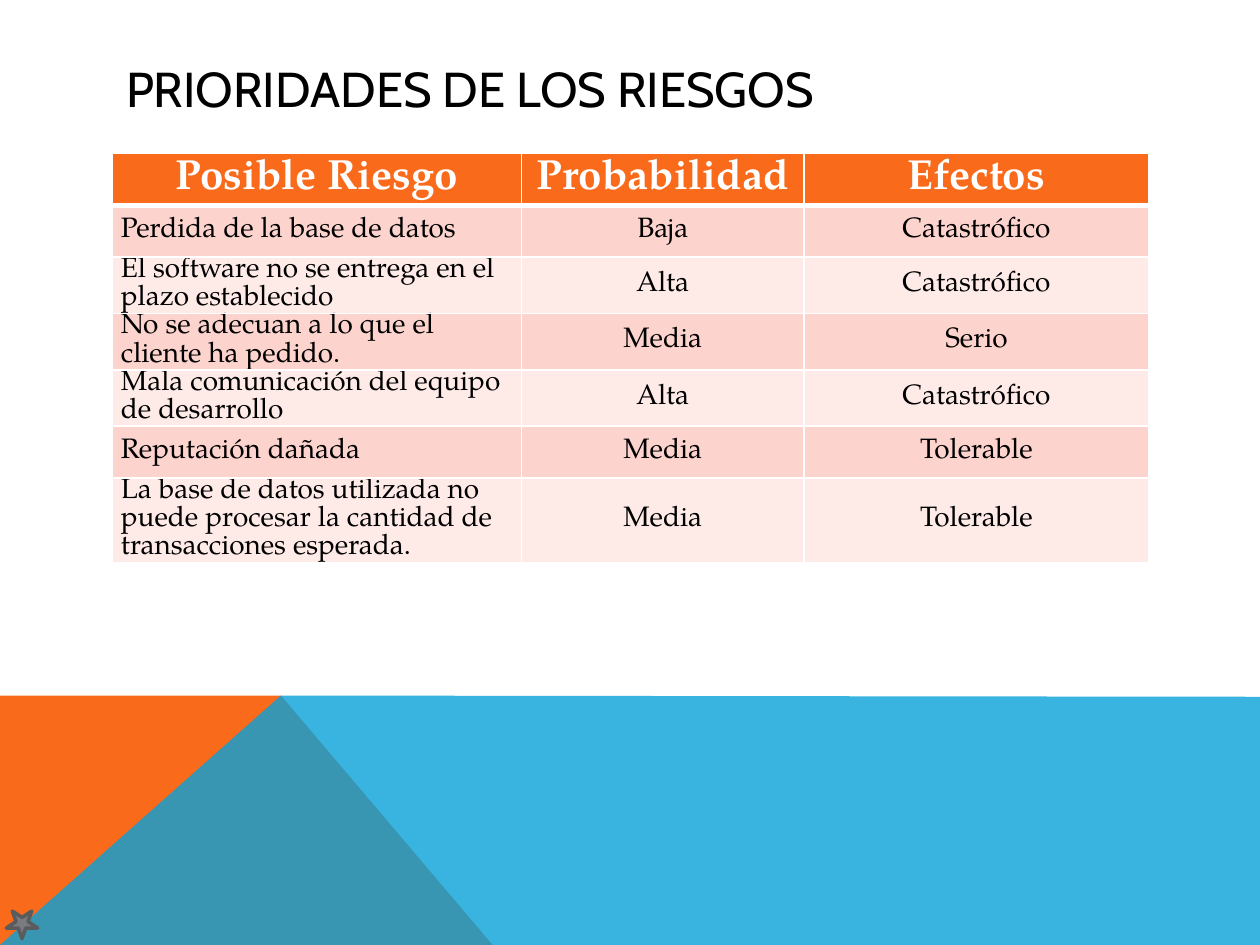
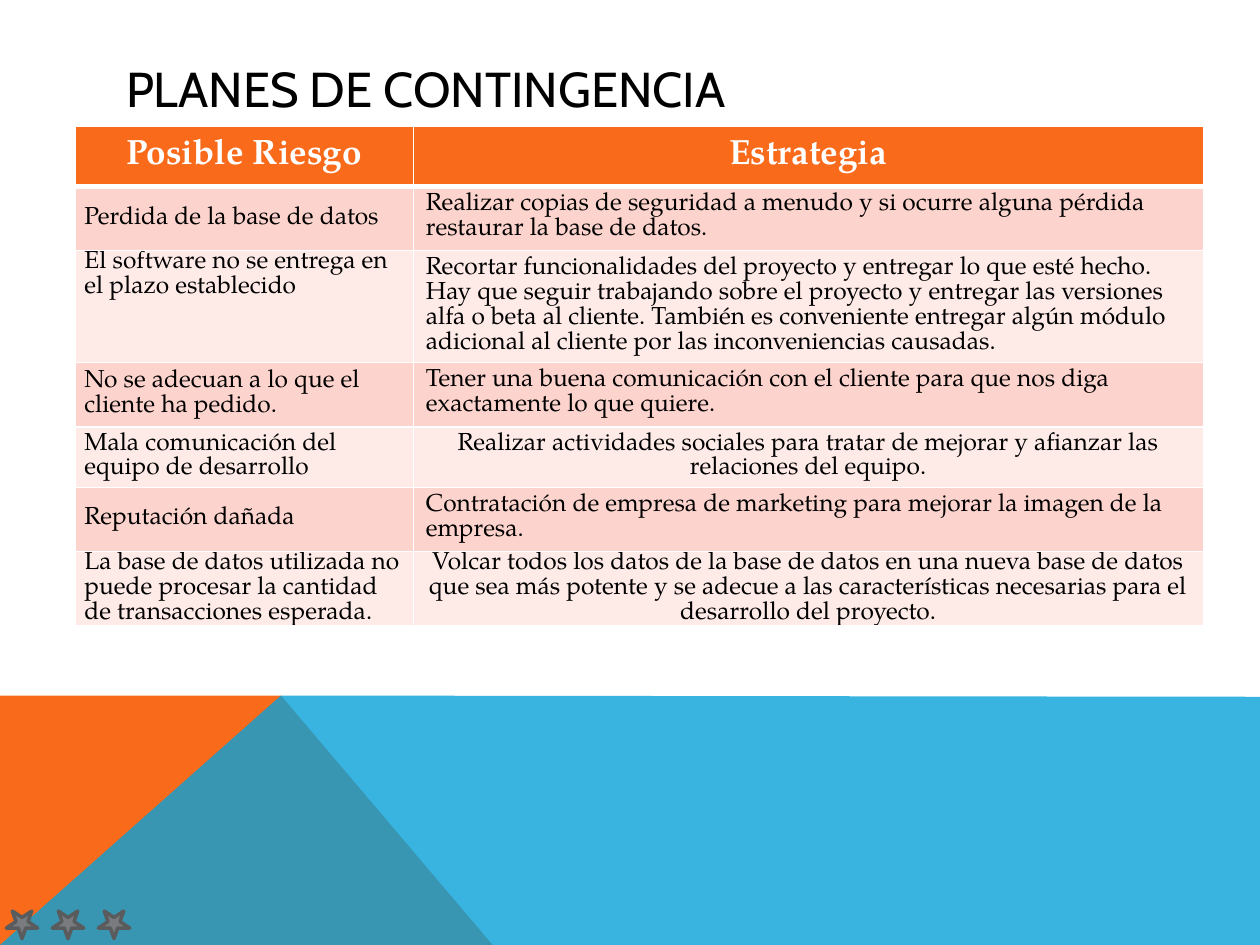
from lxml.etree import SubElement
from pptx import Presentation
from pptx.dml.color import RGBColor
from pptx.enum.shapes import MSO_SHAPE
from pptx.enum.text import MSO_ANCHOR, PP_ALIGN
from pptx.oxml.ns import qn
from pptx.util import Inches, Pt

COLORS = {
    "orange": "F96A1B",
    "blue": "08A1D9",
    "row_dark": "FDD4CD",
    "row_light": "FEEBE8",
    "white": "FFFFFF",
    "black": "000000",
    "star": "797B7E",
    "star_edge": "5A5B5D",
}
TITLE_FONT, TABLE_FONT = "Cabin", "TeX Gyre Pagella"

RISKS = [
    "Perdida de la base de datos",
    "El software no se entrega en el plazo establecido",
    "No se adecuan a lo que el cliente ha pedido.",
    "Mala comunicación del equipo de desarrollo",
    "Reputación dañada",
    "La base de datos utilizada no puede procesar la cantidad de transacciones esperada.",
]
RATINGS = [
    ("Baja", "Catastrófico"),
    ("Alta", "Catastrófico"),
    ("Media", "Serio"),
    ("Alta", "Catastrófico"),
    ("Media", "Tolerable"),
    ("Media", "Tolerable"),
]
STRATEGIES = [
    "Realizar copias de seguridad a menudo y si ocurre alguna pérdida restaurar la base de datos.",
    "Recortar funcionalidades del proyecto y entregar lo que esté hecho. Hay que seguir "
    "trabajando sobre el proyecto y entregar las versiones alfa o beta al cliente. También es "
    "conveniente entregar algún módulo adicional al cliente por las inconveniencias causadas.",
    "Tener una buena comunicación con el cliente para que nos diga exactamente lo que quiere.",
    "Realizar actividades sociales para tratar de mejorar y afianzar las relaciones del equipo.",
    "Contratación de empresa de marketing para mejorar la imagen de la empresa.",
    "Volcar todos los datos de la base de datos en una nueva base de datos que sea más potente "
    "y se adecue a las características necesarias para el desarrollo del proyecto.",
]
SLIDES = [
    {
        "title": "PRIORIDADES DE LOS RIESGOS",
        "rows": [("Posible Riesgo", "Probabilidad", "Efectos")]
        + [(risk, *rating) for risk, rating in zip(RISKS, RATINGS)],
        "at": (0.89, 1.22),
        "columns": [3.25, 2.24, 2.74],
        "heights": [0.41] * 7,
        "sizes": (24, 16),
        "plain": set(),
        "top": set(),
        "stars": 1,
    },
    {
        "title": "PLANES DE CONTINGENCIA",
        "rows": [("Posible Riesgo", "Estrategia"), *zip(RISKS, STRATEGIES)],
        "at": (0.6, 1),
        "columns": [2.68, 6.27],
        "heights": [0.48, 0.51, 0.82, 0.51, 0.48, 0.51, 0.59],
        "sizes": (20, 14),
        "plain": {(1, 1), (2, 1), (3, 1), (5, 1)},
        "top": {(2, 0)},
        "stars": 3,
    },
]
BANDS = [
    ("orange", None, [(0, 7.5), (0, 5.52), (2.23, 5.52), (3.91, 7.5)]),
    ("blue", 80, [(0, 7.5), (2.23, 5.52), (10, 5.53), (10, 7.5)]),
]


def rgb(name):
    return RGBColor.from_string(COLORS[name])


def add_run(paragraph, text, font, size, color, bold=False):
    run = paragraph.add_run()
    run.text = text
    run.font.name = font
    run.font.size = Pt(size)
    run.font.bold = bold
    run.font.color.rgb = rgb(color)


def add_bands(slide, layout):
    for color, opacity, corners in BANDS:
        points = [(Inches(x), Inches(y)) for x, y in corners]
        builder = slide.shapes.build_freeform(*points[0], scale=1.0)
        builder.add_line_segments(points[1:], close=True)
        band = builder.convert_to_shape()
        band.shadow.inherit = False
        band.fill.solid()
        band.fill.fore_color.rgb = rgb(color)
        band.line.fill.background()
        if opacity:
            tint = next(band.element.iter(qn("a:srgbClr")))
            SubElement(tint, qn("a:alpha"), val=str(opacity * 1000))
        layout.shapes.element.append(band.element)


def add_title(slide, text):
    title = slide.shapes.title
    title.left, title.top, title.width, title.height = map(Inches, (0.9, 0.4, 8.22, 0.6))
    title.text_frame.vertical_anchor = MSO_ANCHOR.MIDDLE
    paragraph = title.text_frame.paragraphs[0]
    paragraph.alignment = PP_ALIGN.LEFT
    add_run(paragraph, text, TITLE_FONT, 28, "black")


def add_borders(cell, header):
    properties = cell._tc.get_or_add_tcPr()
    for side in "LRTB":
        width = Pt(3 if header and side == "B" else 1)
        border = SubElement(properties, qn(f"a:ln{side}"), w=str(width))
        paint = SubElement(border, qn("a:solidFill"))
        SubElement(paint, qn("a:srgbClr"), val=COLORS["white"])


def fill_cell(cell, text, row, column, content):
    header = row == 0
    place = (row, column)
    add_borders(cell, header)
    cell.fill.solid()
    cell.fill.fore_color.rgb = rgb("orange" if header else "row_dark" if row % 2 else "row_light")
    paragraph = cell.text_frame.paragraphs[0]
    if place not in content["plain"]:
        cell.margin_left = cell.margin_right = Inches(0.07)
        cell.margin_top = cell.margin_bottom = 0
        paragraph.space_after = Pt(3)
        if place not in content["top"]:
            cell.vertical_anchor = MSO_ANCHOR.MIDDLE
        if header or column:
            paragraph.alignment = PP_ALIGN.CENTER
    size = content["sizes"][0 if header else 1]
    add_run(paragraph, text, TABLE_FONT, size, "white" if header else "black", header)


def add_risk_table(slide, content):
    rows, columns, heights = content["rows"], content["columns"], content["heights"]
    left, top = content["at"]
    table = slide.shapes.add_table(
        len(rows), len(columns), Inches(left), Inches(top),
        Inches(sum(columns)), Inches(sum(heights)),
    ).table
    table.horz_banding = False
    for column, width in zip(table.columns, columns):
        column.width = Inches(width)
    for row, height in zip(table.rows, heights):
        row.height = Inches(height)
    for row, texts in enumerate(rows):
        for column, text in enumerate(texts):
            fill_cell(table.cell(row, column), text, row, column, content)


def add_stars(slide, count):
    for index in range(count):
        star = slide.shapes.add_shape(
            MSO_SHAPE.STAR_5_POINT, Inches(0.05 + index * 0.365), Inches(7.23),
            Inches(0.25), Inches(0.22),
        )
        star.shadow.inherit = False
        star.fill.solid()
        star.fill.fore_color.rgb = rgb("star")
        star.line.color.rgb = rgb("star_edge")
        star.line.width = Pt(2)
        next(star.element.iter(qn("a:xfrm"))).set("flipV", "1")


def main():
    deck = Presentation()
    deck.slide_width, deck.slide_height = Inches(10), Inches(7.5)
    layout = deck.slide_layouts[5]
    for index, content in enumerate(SLIDES):
        slide = deck.slides.add_slide(layout)
        if index == 0:
            add_bands(slide, layout)
        add_title(slide, content["title"])
        add_risk_table(slide, content)
        add_stars(slide, content["stars"])
    deck.save("out.pptx")


if __name__ == "__main__":
    main()
